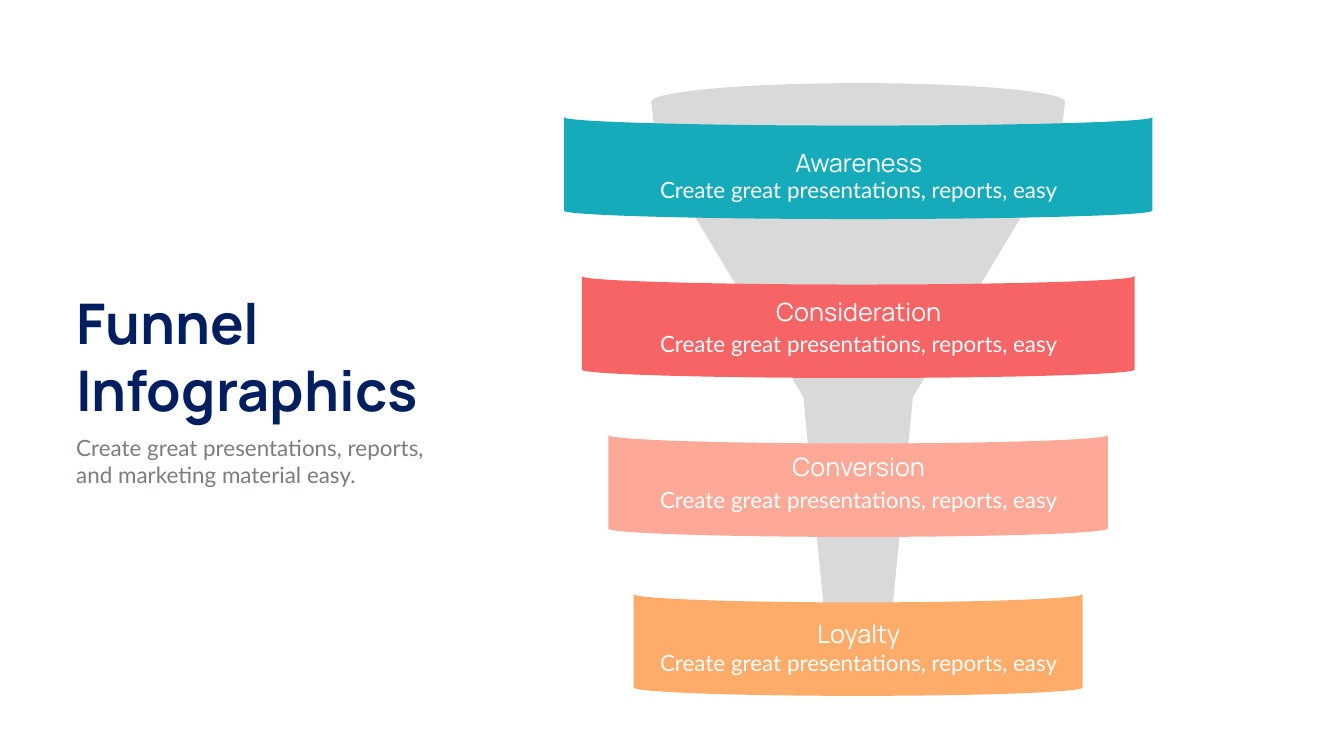
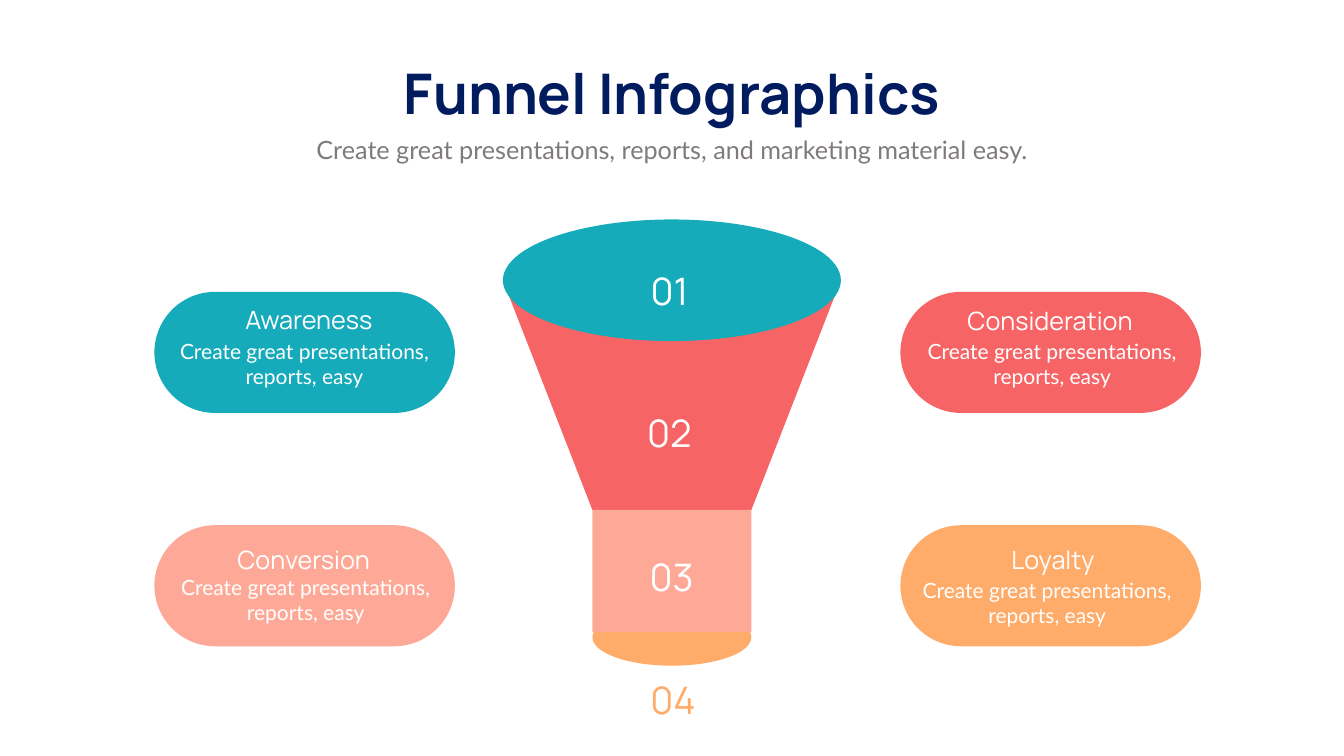
from lxml import etree
from pptx import Presentation
from pptx.dml.color import RGBColor
from pptx.enum.shapes import MSO_SHAPE
from pptx.enum.text import MSO_AUTO_SIZE, PP_ALIGN
from pptx.oxml.ns import qn
from pptx.util import Cm, Pt

OVAL = MSO_SHAPE.OVAL
RECTANGLE = MSO_SHAPE.RECTANGLE
PILL = MSO_SHAPE.ROUNDED_RECTANGLE
FIT_SHAPE = MSO_AUTO_SIZE.SHAPE_TO_FIT_TEXT
LEFT = PP_ALIGN.LEFT
CENTER = PP_ALIGN.CENTER

WHITE = RGBColor(0xFF, 0xFF, 0xFF)
NAVY = RGBColor(0x01, 0x1F, 0x5F)
DEEP_NAVY = RGBColor(0x00, 0x1C, 0x5E)
GREY = RGBColor(0x7F, 0x7A, 0x7E)
SILVER = RGBColor(0xD9, 0xD9, 0xD9)
TEAL = RGBColor(0x16, 0xAB, 0xBA)
CORAL = RGBColor(0xF7, 0x64, 0x66)
SALMON = RGBColor(0xFE, 0xA9, 0x98)
ORANGE = RGBColor(0xFF, 0xAB, 0x69)

HEADING_FONT = "Manrope"
BODY_FONT = "Lato"
ROUNDNESS = 0.55
STAGES = [("Awareness", TEAL), ("Consideration", CORAL),
          ("Conversion", SALMON), ("Loyalty", ORANGE)]
STAGE_NOTE = "Create great presentations, reports, easy"
SUBTITLE = "Create great presentations, reports, and marketing material easy."


def add_text(slide, text, box, font=HEADING_FONT, size=36, color=WHITE,
             bold=False, align=CENTER, wrap=True):
    frame = slide.shapes.add_textbox(*map(Cm, box)).text_frame
    frame.word_wrap = wrap
    frame.auto_size = FIT_SHAPE
    for index, line in enumerate(text.split("\n")):
        paragraph = frame.add_paragraph() if index else frame.paragraphs[0]
        paragraph.alignment = align
        run = paragraph.add_run()
        run.text = line
        run.font.name = font
        run.font.size = Pt(size)
        run.font.bold = bold
        run.font.color.rgb = color


def paint(shape, color):
    shape.shadow.inherit = False
    shape.fill.solid()
    shape.fill.fore_color.rgb = color
    shape.line.fill.background()


def add_preset(slide, kind, box, color):
    shape = slide.shapes.add_shape(kind, *map(Cm, box))
    paint(shape, color)
    return shape


def corners(points):
    return [(point,) for point in points]


def half_arc(center, y, radius, rise, direction):
    start, end = center - direction * radius, center + direction * radius
    reach = direction * radius * ROUNDNESS
    apex, shoulder = y + rise, y + rise * ROUNDNESS
    return [((start, y),),
            ((start, shoulder), (center - reach, apex), (center, apex)),
            ((center + reach, apex), (end, shoulder), (end, y))]


def add_outline(slide, segments, color):
    start, *rest = [(Cm(segment[-1][0]), Cm(segment[-1][1])) for segment in segments]
    builder = slide.shapes.build_freeform(*start)
    builder.add_line_segments(rest, close=True)
    shape = builder.convert_to_shape()
    lines = list(shape._element.iter(qn("a:lnTo")))
    for line, (*controls, _) in zip(lines, segments[1:]):
        if controls:
            line.tag = qn("a:cubicBezTo")
        for index, (x, y) in enumerate(controls):
            control = etree.Element(qn("a:pt"), x=str(Cm(x) - shape.left),
                                    y=str(Cm(y) - shape.top))
            line.insert(index, control)
    paint(shape, color)


def add_heading(slide, title, title_box, subtitle_box, color, align, subtitle_size):
    add_text(slide, title, title_box, size=80, color=color, bold=True,
             align=align, wrap=False)
    add_text(slide, SUBTITLE, subtitle_box, font=BODY_FONT, size=subtitle_size,
             color=GREY, align=align)


def add_funnel_backdrop(slide, center, top):
    rim_radius, rim_depth = 10.43, 0.94
    profile = [(10.11, 3.58), (2.76, 15.82), (1.51, 28.75)]
    tip_radius, tip_top, tip_depth = 1.51, 30.25, 0.13
    right = corners((center + half, top + y) for half, y in profile)
    left = corners((center - half, top + y) for half, y in reversed(profile))
    rim = half_arc(center, top + rim_depth, rim_radius, -rim_depth, 1)
    tip = half_arc(center, top + tip_top, tip_radius, tip_depth, -1)
    add_outline(slide, rim + right + tip + left, SILVER)


def add_band(slide, center, top, width, color):
    side, sag = 4.71, 0.42
    upper = half_arc(center, top, width / 2, sag, 1)
    lower = half_arc(center, top + side, width / 2, sag, -1)
    add_outline(slide, upper + lower, color)


def add_band_label(slide, center, top, name, name_y, name_width, note_y, note_width):
    add_text(slide, name, (center - name_width / 2, top + name_y, name_width, 1.8))
    add_text(slide, STAGE_NOTE,
             (center - note_width / 2, top + note_y, note_width, 1.63),
             font=BODY_FONT, size=32)


def build_band_slide(slide):
    center, label_center, first_top, pitch = 43.24, 43.27, 5.91, 8.01
    band_widths = [29.64, 27.85, 25.17, 22.63]
    labels = [(1.38, 25.1, 2.83, 26.06), (0.89, 25.1, 2.6, 26.06),
              (0.69, 13.11, 2.46, 20.98), (1.08, 5.51, 2.66, 20.98)]
    add_funnel_backdrop(slide, center, 4.19)
    for row, ((name, color), width, label) in enumerate(zip(STAGES, band_widths, labels)):
        top = first_top + row * pitch
        add_band(slide, center, top, width, color)
        add_band_label(slide, label_center, top, name, *label)
    add_heading(slide, "Funnel\nInfographics", (3.59, 14.43, 19.25, 7.09),
                (3.59, 21.74, 20.12, 3), NAVY, LEFT, 32)


def add_pill(slide, left, top, name, color, name_place, note_place):
    pill = add_preset(slide, PILL, (left, top, 15.14, 6.1), color)
    pill.adjustments[0] = 0.5
    name_x, name_y, name_width = name_place
    note_x, note_y = note_place
    add_text(slide, STAGE_NOTE, (left + note_x, top + note_y, 13.97, 2.82),
             font=BODY_FONT, size=30)
    add_text(slide, name, (left + name_x, top + name_y, name_width, 1.8))


def add_numbered_funnel(slide, left, top, width):
    mouth_height, cone_bottom, inset = 6.13, 14.64, 4.51
    cone_top = mouth_height / 2
    neck = width - 2 * inset
    cone = [(0, cone_top), (width, cone_top),
            (width - inset, cone_bottom), (inset, cone_bottom)]
    add_outline(slide, corners((left + x, top + y) for x, y in cone), CORAL)
    add_preset(slide, OVAL, (left, top, width, mouth_height), TEAL)
    add_preset(slide, OVAL, (left + inset, top + 19.62, neck, 2.87), ORANGE)
    add_preset(slide, RECTANGLE, (left + inset, top + cone_bottom, neck, 6.15), SALMON)
    numbers = [(4.25, 2.3, WHITE), (4.25, 9.47, WHITE),
               (4.36, 16.73, WHITE), (4.43, 22.92, ORANGE)]
    for number, (x, y, color) in enumerate(numbers, 1):
        add_text(slide, f"{number:02}", (left + x, top + y, 8.28, 2.57),
                 size=54, color=color)


def build_pill_slide(slide):
    columns, rows = (7.78, 45.37), (14.71, 26.47)
    places = [((1.45, 0.51, 12.67), (0.58, 2.21)),
              ((0.81, 0.56, 13.46), (0.66, 2.21)),
              ((1.19, 0.83, 12.67), (0.64, 2.37)),
              ((1.35, 0.86, 12.67), (0.41, 2.51))]
    for index, ((name, color), place) in enumerate(zip(STAGES, places)):
        add_pill(slide, columns[index % 2], rows[index // 2], name, color, *place)
    add_heading(slide, "Funnel Infographics", (18.99, 2.84, 29.74, 3.68),
                (7.42, 6.63, 52.88, 1.8), DEEP_NAVY, CENTER, 36)
    add_numbered_funnel(slide, 25.34, 11.06, 17.03)


def main():
    deck = Presentation()
    deck.slide_width = Cm(67.72)
    deck.slide_height = Cm(38.1)
    blank = deck.slide_layouts[6]
    for build in (build_band_slide, build_pill_slide):
        build(deck.slides.add_slide(blank))
    deck.save("out.pptx")


if __name__ == "__main__":
    main()
